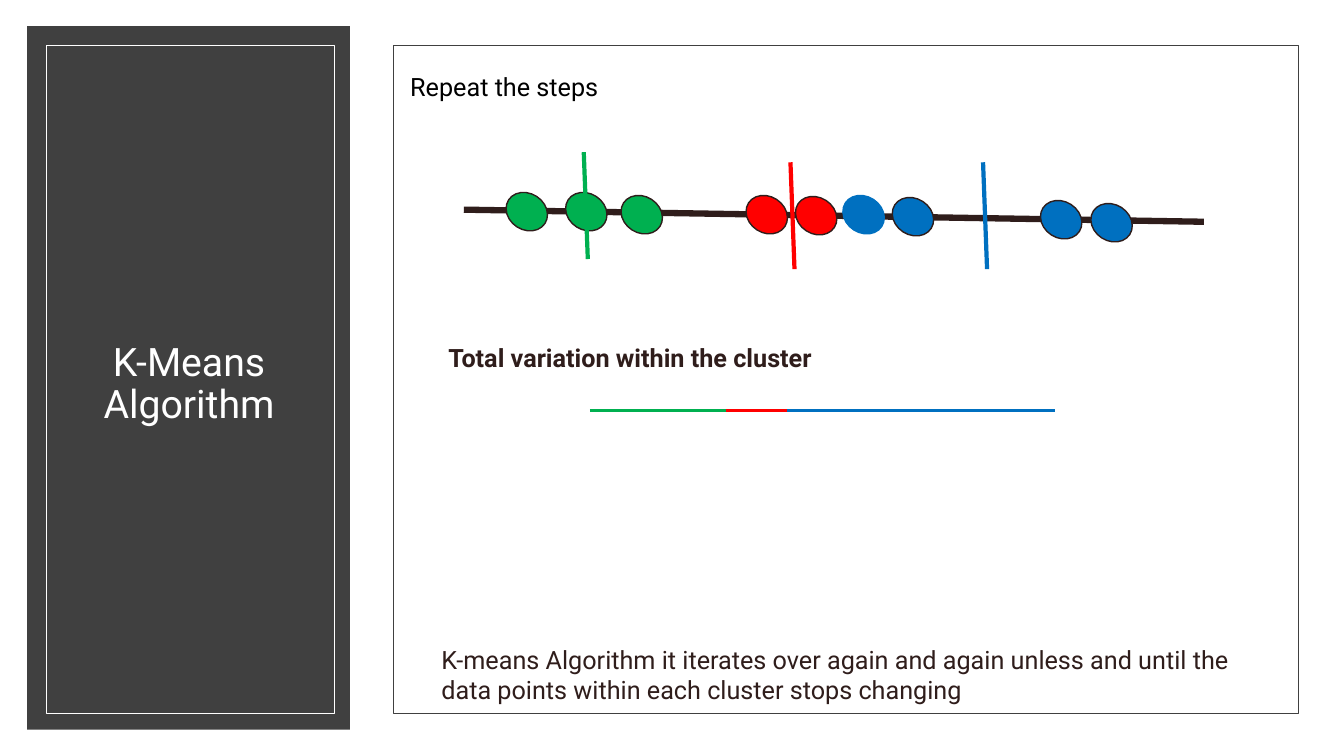
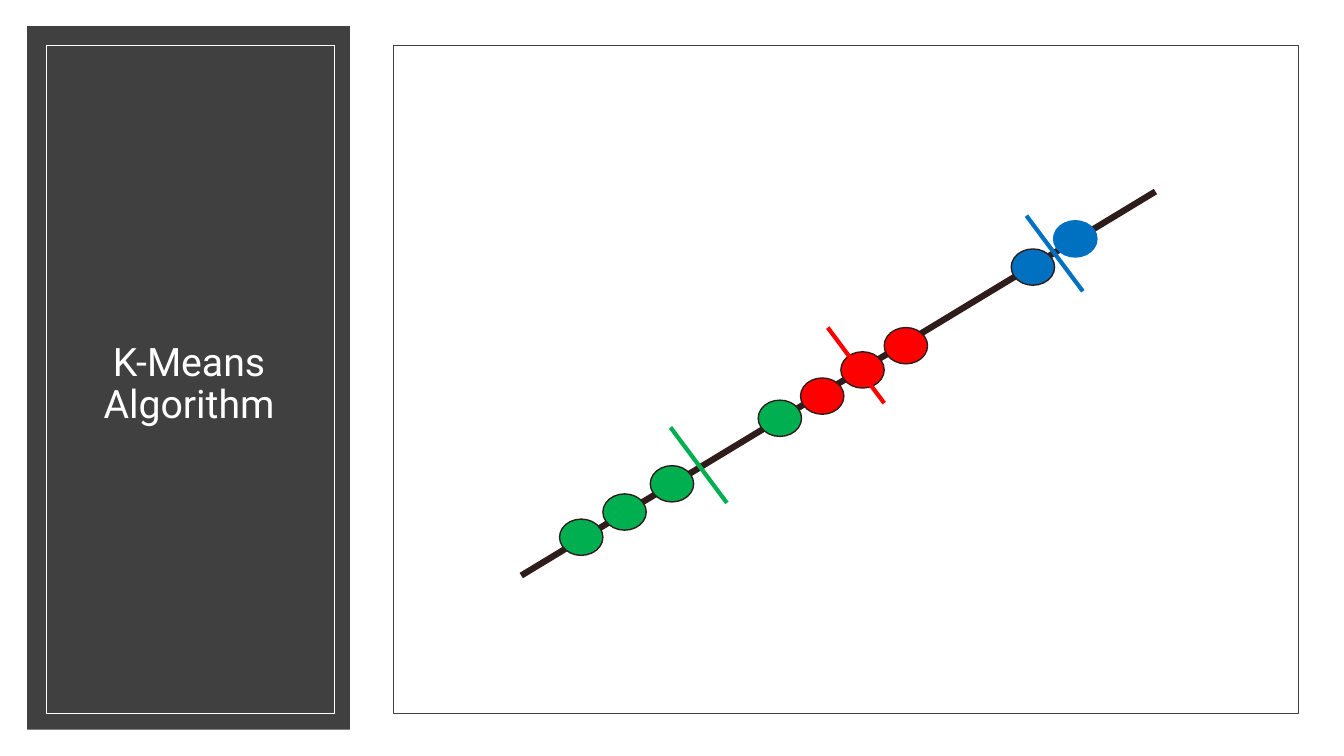
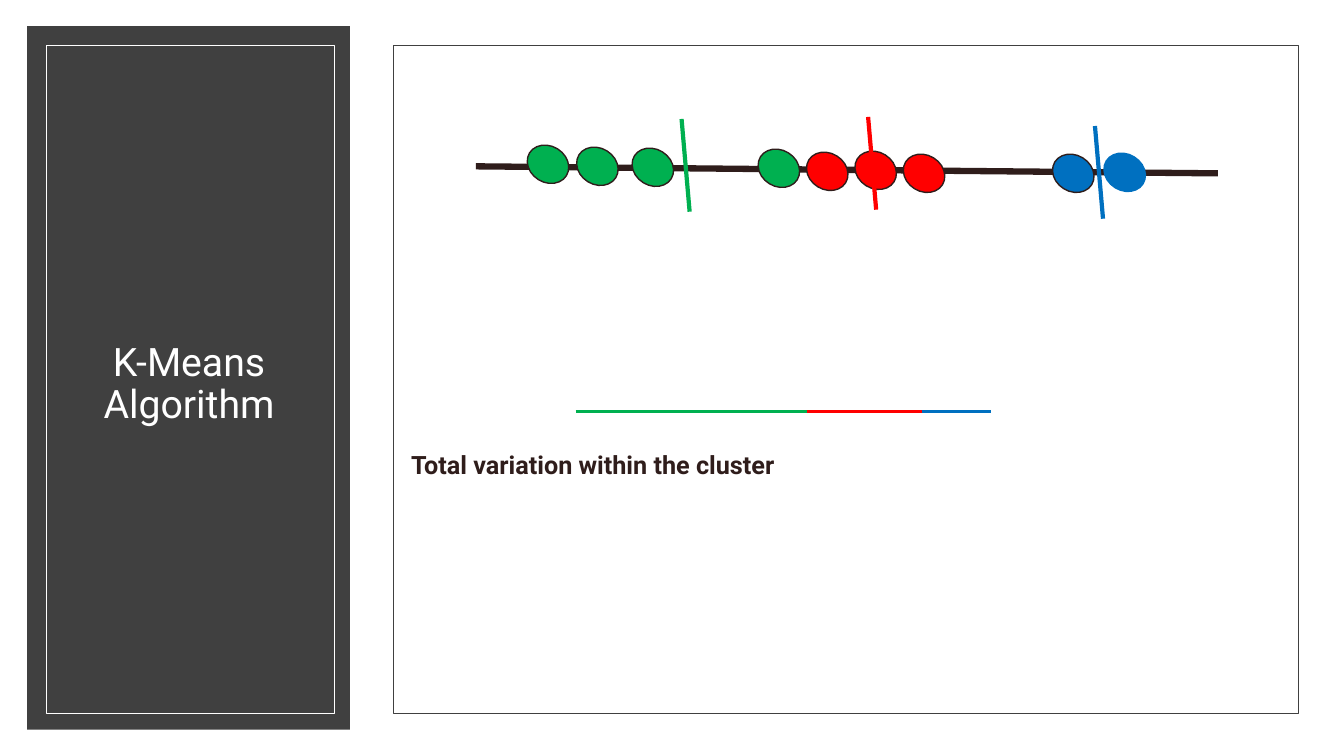
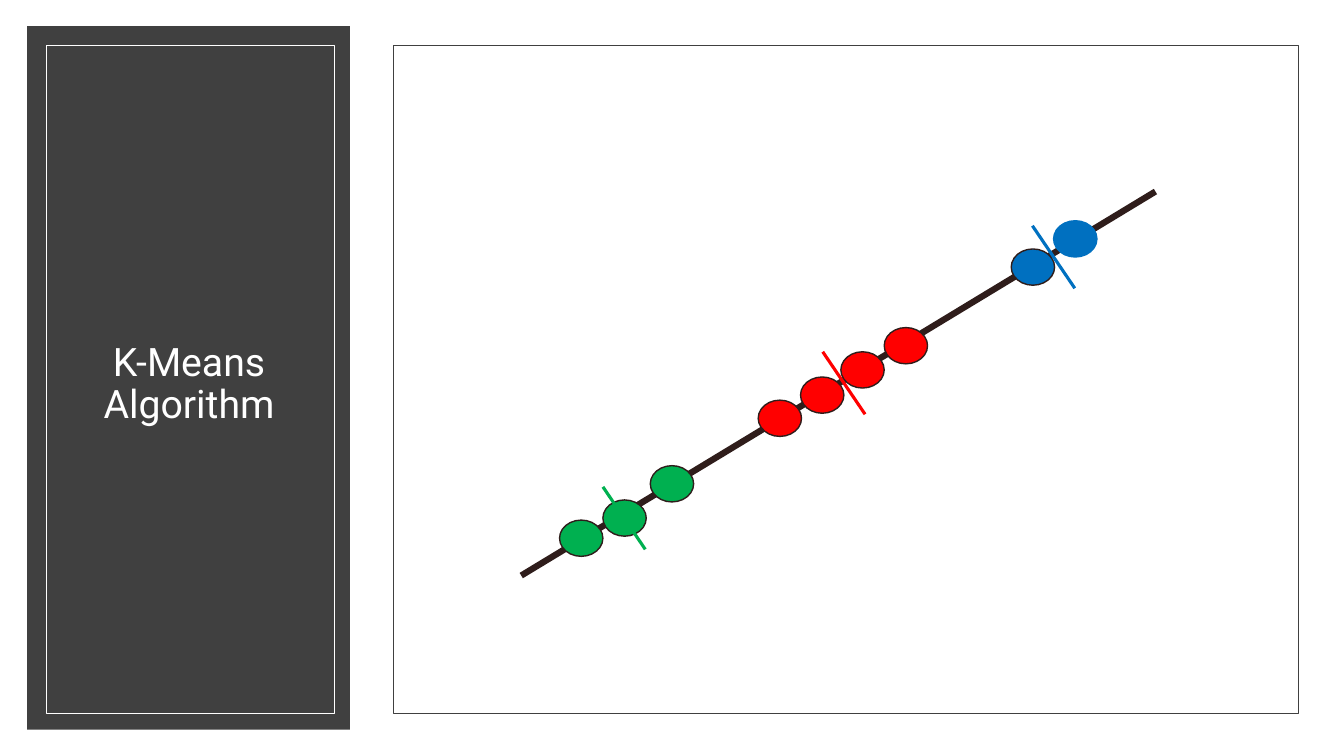
from dataclasses import dataclass

from lxml import etree
from pptx import Presentation
from pptx.dml.color import RGBColor
from pptx.enum import shapes, text
from pptx.oxml import ns
from pptx.util import Inches, Pt

COLORS = {
    "white": "FFFFFF",
    "black": "000000",
    "band": "404040",
    "ink": "2F1D1B",
    "green": "00B050",
    "red": "FF0000",
    "blue": "0070C0",
}
CLUSTERS = {"G": "green", "R": "red", "B": "blue"}
FONT = "Roboto"
TITLE = "K-Means Algorithm"
VARIATION = "Total variation within the cluster"

BAND = (0.27, 0.26, 3.2, 6.98)
PANEL = (3.9, 0.45, 8.98, 6.63)
DOT_SIZE = (0.43, 0.36)


@dataclass
class NumberLine:
    axis: tuple
    lefts: tuple
    tops: tuple
    members: str
    unlined: int
    means: tuple
    mean_span: tuple
    mean_weight: float = 3
    tilt: float = 0


SLOPE_AXIS = (1.27, 5.26, 7.56, 1.45)
SLOPE_LEFTS = (1.65, 2.08, 2.55, 3.62, 4.04, 4.44, 4.87, 6.13, 6.55)

REPEATED = NumberLine(
    axis=(0.7, 1.63, 8.04, 1.75),
    lefts=(1.11, 1.7, 2.25, 3.49, 3.98, 4.45, 4.94, 6.41, 6.91),
    tops=(1.47, 1.47, 1.5, 1.5, 1.51, 1.5, 1.52, 1.55, 1.58),
    members="GGGRRBBBB",
    unlined=5,
    means=((1.89, 1.06), (3.94, 1.16), (5.85, 1.16)),
    mean_span=(0.04, 1.06),
    tilt=32.8,
)
SLOPE_FIRST = NumberLine(
    axis=SLOPE_AXIS,
    lefts=SLOPE_LEFTS,
    tops=(4.7, 4.45, 4.17, 3.52, 3.3, 3.04, 2.8, 2.02, 1.74),
    members="GGGGRRRBB",
    unlined=8,
    means=((2.75, 3.79), (4.31, 2.8), (6.28, 1.69)),
    mean_span=(0.56, 0.75),
)
LEVEL = NumberLine(
    axis=(0.82, 1.2, 8.18, 1.27),
    lefts=(1.32, 1.81, 2.36, 3.61, 4.09, 4.57, 5.05, 6.53, 7.04),
    tops=(1.0, 1.02, 1.03, 1.04, 1.07, 1.06, 1.09, 1.09, 1.08),
    members="GGGGRRRBB",
    unlined=8,
    means=((2.86, 0.73), (4.71, 0.71), (6.96, 0.8)),
    mean_span=(0.08, 0.92),
    tilt=31.8,
)
SLOPE_SECOND = NumberLine(
    axis=SLOPE_AXIS,
    lefts=SLOPE_LEFTS,
    tops=(4.71, 4.51, 4.17, 3.52, 3.29, 3.04, 2.8, 2.02, 1.74),
    members="GGGRRRRBB",
    unlined=8,
    means=((2.08, 4.38), (4.26, 3.04), (6.34, 1.79)),
    mean_span=(0.42, 0.62),
    mean_weight=2.25,
)


def color(name):
    return RGBColor.from_string(COLORS[name])


def within(box, left, top):
    return box[0] + left, box[1] + top


def add_preset(page, kind, box, fill=None, line=None, weight=0.5):
    shape = page.shapes.add_shape(kind, *map(Inches, box))
    shape.shadow.inherit = False
    if fill:
        shape.fill.solid()
        shape.fill.fore_color.rgb = color(fill)
    else:
        shape.fill.background()
    if line:
        shape.line.color.rgb = color(line)
        shape.line.width = Pt(weight)
    else:
        shape.line.fill.background()
    return shape


def add_line(page, start, end, stroke, weight):
    line = page.shapes.add_connector(
        shapes.MSO_CONNECTOR.STRAIGHT, *map(Inches, (*start, *end))
    )
    line.line.color.rgb = color(stroke)
    line.line.width = Pt(weight)
    etree.SubElement(line._element.spPr, ns.qn("a:effectLst"))


def add_text(page, box, words, ink="ink", size=18, bold=False, wrap=True):
    frame = page.shapes.add_textbox(*map(Inches, box)).text_frame
    frame.word_wrap = wrap
    para = frame.paragraphs[0]
    span = para.add_run()
    span.text = words
    span.font.name = FONT
    span.font.size = Pt(size)
    span.font.bold = bold
    span.font.color.rgb = color(ink)
    return frame


def add_title_band(page, box):
    left, top, width, height = box
    rect = shapes.MSO_SHAPE.RECTANGLE
    add_preset(page, rect, box, fill="band")
    add_preset(page, rect, (left + 0.19, top + 0.19, 2.86, 6.63), line="white")
    title_box = (left + 0.34, top + 0.41, 2.53, 6.3)
    frame = add_text(page, title_box, TITLE, "white", 28)
    frame.vertical_anchor = text.MSO_ANCHOR.MIDDLE
    frame.paragraphs[0].alignment = text.PP_ALIGN.CENTER
    frame.paragraphs[0].line_spacing = 0.9


def add_number_line(page, box, data):
    add_line(page, within(box, *data.axis[:2]), within(box, *data.axis[2:]), "ink", 4.5)
    for index, (left, top, member) in enumerate(zip(data.lefts, data.tops, data.members)):
        fill = CLUSTERS[member]
        outline = fill if index == data.unlined else "ink"
        dot_box = (*within(box, left, top), *DOT_SIZE)
        dot = add_preset(page, shapes.MSO_SHAPE.OVAL, dot_box, fill, outline, 1)
        dot.rotation = data.tilt
    for (left, top), stroke in zip(data.means, CLUSTERS.values()):
        start = within(box, left, top)
        add_line(page, start, within(start, *data.mean_span), stroke, data.mean_weight)


def add_variation(page, box, bar_at, lengths, label_at):
    start = within(box, *bar_at)
    for length, stroke in zip(lengths, CLUSTERS.values()):
        end = within(start, length, 0)
        add_line(page, start, end, stroke, 2.25)
        start = end
    add_text(page, (*within(box, *label_at), 6.5, 0.4), VARIATION, bold=True)


def add_page(deck, data):
    page = deck.slides.add_slide(deck.slide_layouts[6])
    page.background.fill.solid()
    page.background.fill.fore_color.rgb = color("white")
    add_title_band(page, BAND)
    add_preset(page, shapes.MSO_SHAPE.RECTANGLE, PANEL, line="band")
    add_number_line(page, PANEL, data)
    return page


def add_repeat_notes(page, box):
    heading_box = (*within(box, 0.07, 0.21), 2.11, 0.4)
    add_text(page, heading_box, "Repeat the steps", "black", wrap=False)
    add_text(
        page,
        (*within(box, 0.38, 5.89), 8.24, 0.71),
        "K-means Algorithm it iterates over again and again unless and until "
        "the data points within each cluster stops changing",
    )


def main():
    deck = Presentation()
    deck.slide_width = Inches(13.33)
    deck.slide_height = Inches(7.5)

    page = add_page(deck, REPEATED)
    add_variation(page, PANEL, (1.95, 3.62), (1.35, 0.61, 2.65), (0.45, 2.9))
    add_repeat_notes(page, PANEL)

    add_page(deck, SLOPE_FIRST)

    page = add_page(deck, LEVEL)
    add_variation(page, PANEL, (1.81, 3.63), (2.29, 1.14, 0.69), (0.08, 3.96))

    add_page(deck, SLOPE_SECOND)
    deck.save("out.pptx")


if __name__ == "__main__":
    main()
